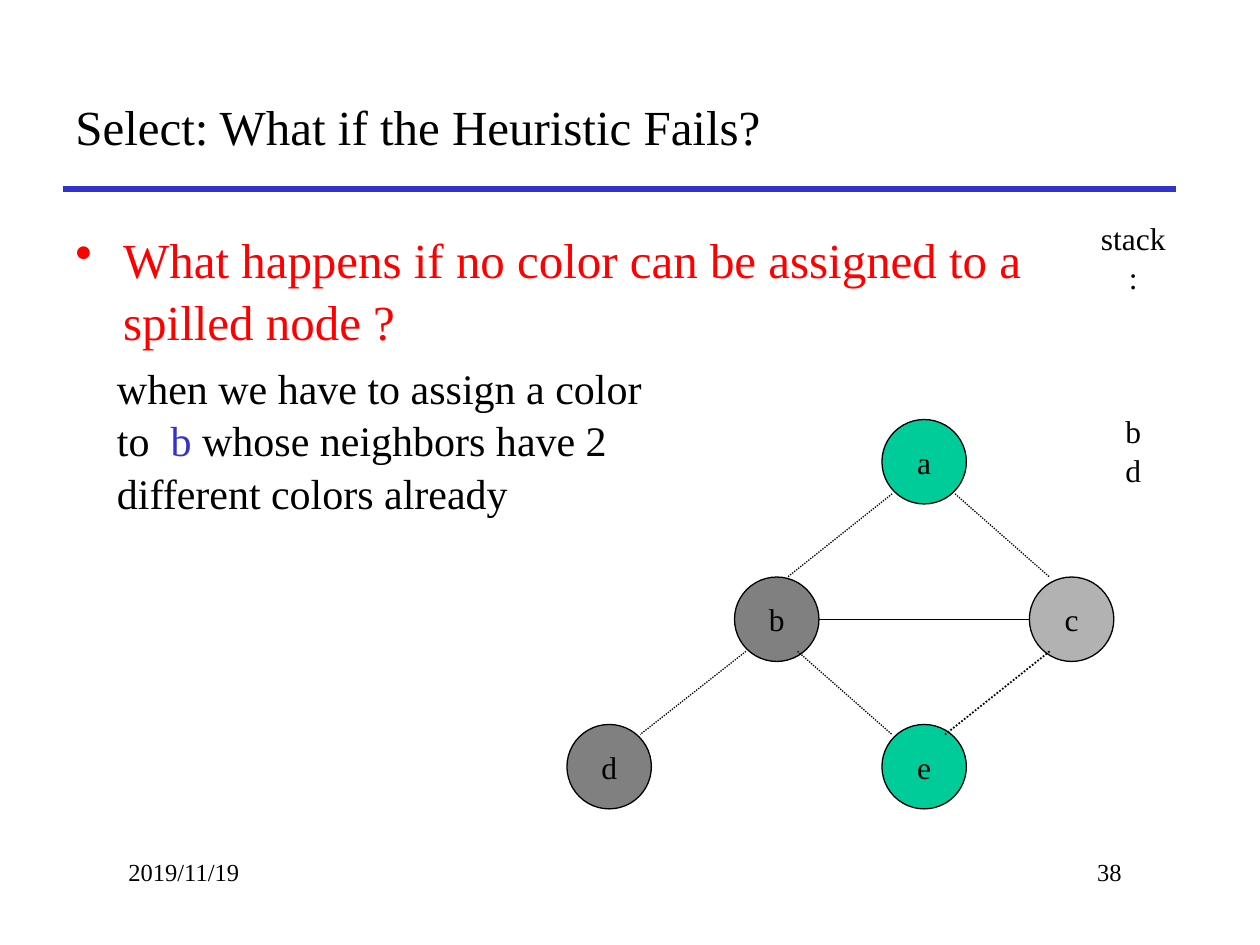
import pptx
import pptx.util
import pptx.dml.color
import pptx.oxml
from pptx.enum.dml import MSO_LINE
from pptx.enum.shapes import MSO_CONNECTOR, MSO_SHAPE
from pptx.enum.text import MSO_ANCHOR, PP_ALIGN
from pptx.oxml.ns import qn
from pptx.util import Inches, Pt

FONT = "Times New Roman"
BLACK, RED, BLUE = "000000", "FF0000", "3333CC"
GREEN, DARK, LIGHT = "00CC99", "808080", "B2B2B2"
SIZE = 0.67

TEXTS = [
    {"at": (0.92, 6.75, 2.08, 0.5), "size": 14,
     "paras": [[("2019/11/19", BLACK)]]},
    {"at": (6.92, 6.75, 2.08, 0.5), "size": 14, "align": PP_ALIGN.RIGHT,
     "paras": [[("38", BLACK)]]},
    {"at": (0.5, 0.5, 8.83, 1), "size": 28, "anchor": MSO_ANCHOR.MIDDLE,
     "paras": [[("Select: What if the Heuristic Fails?", BLACK)]]},
    {"at": (0.5, 1.75, 8, 1.08), "size": 28, "indent": (0.38, -0.38),
     "bullet": "•", "spacing": 1.05,
     "paras": [[("What happens if no color can be assigned to a spilled node ?", RED)]]},
    {"at": (0.33, 2.81, 5, 1.31), "size": 24, "indent": (0.5, 0), "spacing": 1.04,
     "paras": [[("when we have to assign a color to ", BLACK), (" b ", BLUE),
                ("whose neighbors have 2 different colors already", BLACK)]]},
    {"at": (8.61, 1.67, 0.77, 2.22), "size": 18, "align": PP_ALIGN.CENTER,
     "spacing": 1.05, "gaps": {1: 65},
     "paras": [[("stack:", BLACK)], [("b", BLACK)], [("d", BLACK)]]},
]
NODES = {
    "a": (7, 3.33, GREEN),
    "b": (5.83, 4.58, DARK),
    "c": (8.17, 4.58, LIGHT),
    "d": (4.5, 5.75, DARK),
    "e": (7, 5.75, GREEN),
}
DOTTED_EDGES = [
    (5.92, 5.17, 5.08, 5.83, 0.75),
    (6.33, 5.17, 7.08, 5.83, 0.75),
    (7.08, 3.92, 6.25, 4.58, 0.75),
    (7.58, 3.92, 8.33, 4.58, 0.75),
    (7.5, 5.83, 8.33, 5.17, 1),
]


def rgb(value):
    return pptx.dml.color.RGBColor.from_string(value)


def set_attrs(obj, values):
    for name, value in values.items():
        setattr(obj, name, value)


def add_run(p, text, color, size):
    r = p.add_run()
    r.text = text
    set_attrs(r.font, {"name": FONT, "size": Pt(size)})
    r.font.color.rgb = rgb(color)


def add_text(s, item):
    tf = s.shapes.add_textbox(*map(Inches, item["at"])).text_frame
    set_attrs(tf, {"word_wrap": True,
                   "vertical_anchor": item.get("anchor", MSO_ANCHOR.TOP)})
    for i, runs in enumerate(item["paras"]):
        p = tf.add_paragraph() if i else tf.paragraphs[0]
        set_attrs(p, {"alignment": item.get("align", PP_ALIGN.LEFT),
                      "line_spacing": item.get("spacing", 1.0),
                      "space_before": Pt(item.get("gaps", {}).get(i, 0))})
        pPr = p._p.get_or_add_pPr()
        left, first = item.get("indent", (0, 0))
        pPr.set("marL", str(Inches(left)))
        pPr.set("indent", str(Inches(first)))
        if "bullet" in item:
            bullet = pptx.oxml.parse_xml(
                '<a:buChar xmlns:a="http://schemas.openxmlformats.org/drawingml/2006/main"/>')
            bullet.set("char", item["bullet"])
            pPr.append(bullet)
        for text, color in runs:
            add_run(p, text, color, item["size"])


def add_line(s, x1, y1, x2, y2, width, color=BLACK, dash=None):
    line = s.shapes.add_connector(MSO_CONNECTOR.STRAIGHT, *map(Inches, (x1, y1, x2, y2)))
    set_attrs(line.line, {"width": Pt(width), "dash_style": dash})
    line.line.color.rgb = rgb(color)
    spPr = line._element.spPr
    spPr.append(spPr.makeelement(qn("a:effectLst"), {}))


def add_node(s, label, x, y, color):
    sp = s.shapes.add_shape(MSO_SHAPE.OVAL, *map(Inches, (x, y, SIZE, SIZE)))
    sp.shadow.inherit = False
    sp.fill.solid()
    sp.fill.fore_color.rgb = rgb(color)
    sp.line.color.rgb = rgb(BLACK)
    sp.line.width = Pt(0.75)
    tf = sp.text_frame
    set_attrs(tf, {"word_wrap": False, "vertical_anchor": MSO_ANCHOR.MIDDLE})
    p = tf.paragraphs[0]
    p.alignment = PP_ALIGN.CENTER
    add_run(p, label, BLACK, 18)


def main():
    prs = pptx.Presentation()
    set_attrs(prs, {"slide_width": Inches(10), "slide_height": Inches(7.5)})
    s = prs.slides.add_slide(prs.slide_layouts[6])
    add_line(s, 0.5, 1.5, 9.33, 1.5, 3, BLUE)
    for item in TEXTS:
        add_text(s, item)
    for label, node in NODES.items():
        add_node(s, label, *node)
    for edge in DOTTED_EDGES:
        add_line(s, *edge, dash=MSO_LINE.ROUND_DOT)
    bx, by, _ = NODES["b"]
    middle = by + SIZE / 2
    add_line(s, bx + SIZE, middle, NODES["c"][0], middle, 0.75)
    prs.save("out.pptx")


if __name__ == "__main__":
    main()
